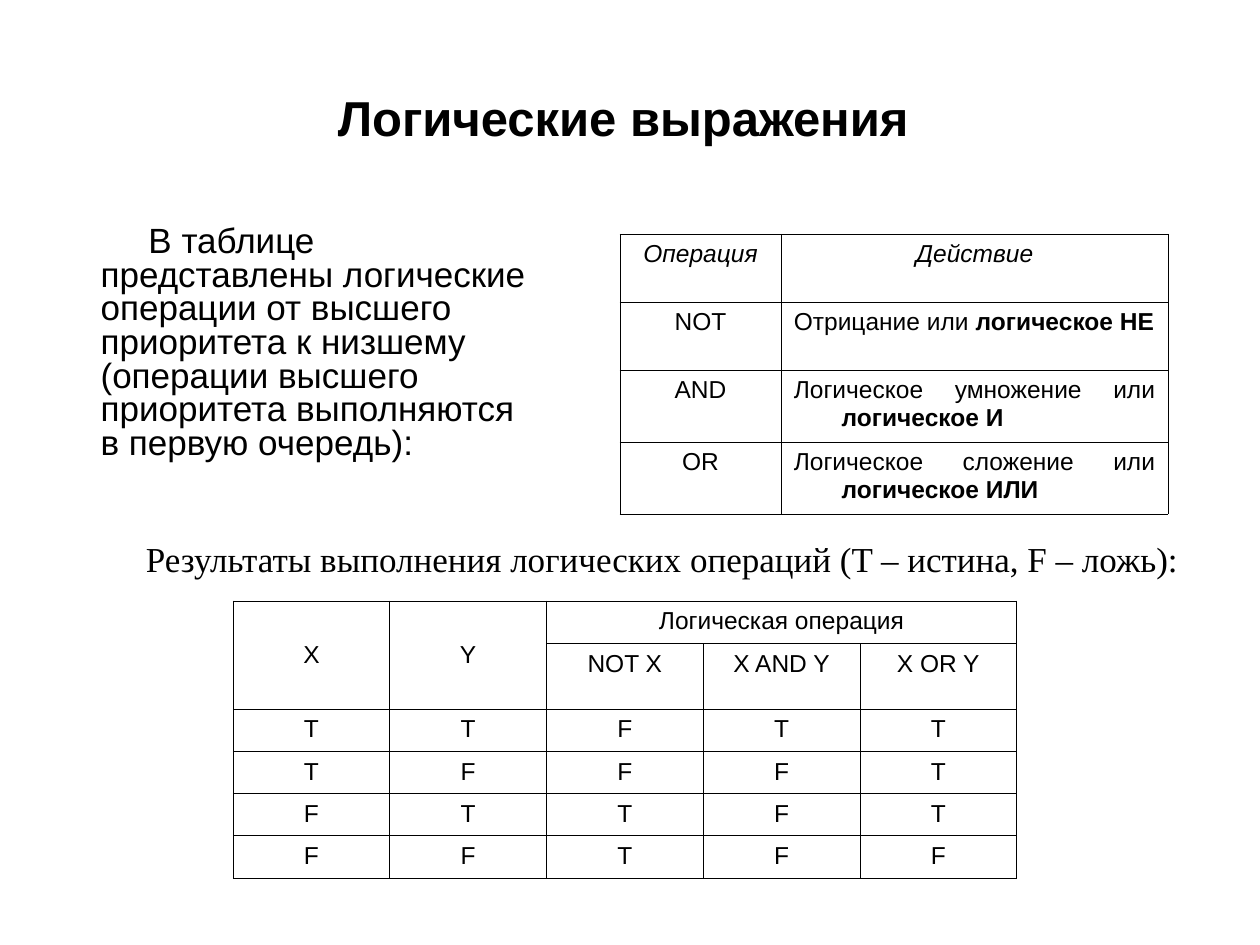
"""Build a slide on logical expressions with a priority table and a truth table."""
from dataclasses import dataclass

from lxml import etree
from pptx import Presentation
from pptx.dml.color import RGBColor
from pptx.enum.text import MSO_ANCHOR, PP_ALIGN
from pptx.oxml.ns import qn
from pptx.util import Inches, Pt

LEFT, CENTER, JUSTIFY = PP_ALIGN.LEFT, PP_ALIGN.CENTER, PP_ALIGN.JUSTIFY
TOP, MIDDLE = MSO_ANCHOR.TOP, MSO_ANCHOR.MIDDLE
BLACK = "000000"
BORDER_WIDTH = Pt(0.45)
HANGING = 0.38


@dataclass(frozen=True)
class Caption:
    """A free-standing block of text."""
    text: str
    box: tuple[float, float, float, float]
    size: float
    font: str = "Arial"
    bold: bool = False
    align: PP_ALIGN = LEFT
    anchor: MSO_ANCHOR = TOP
    margin: float = 0
    indent: float = 0
    line_spacing: float = 1.0


@dataclass(frozen=True)
class Entry:
    """The content of one table cell."""
    text: str
    strong: str = ""
    italic: bool = False
    align: PP_ALIGN = CENTER
    anchor: MSO_ANCHOR = TOP


@dataclass(frozen=True)
class Grid:
    """A bordered table; spans hold first and last cell as row, column."""
    left: float
    top: float
    columns: list[float]
    heights: list[float]
    rows: list[list[Entry]]
    spans: tuple[tuple[int, int, int, int], ...] = ()


def color(hex_code: str) -> RGBColor:
    """Turn a hex string into a colour."""
    return RGBColor.from_string(hex_code)


def style(paragraph, size: float, font: str, align: PP_ALIGN) -> None:
    """Set the alignment and shared font of a paragraph."""
    paragraph.alignment = align
    paragraph.font.size = Pt(size)
    paragraph.font.name = font
    paragraph.font.color.rgb = color(BLACK)


def indent(paragraph, margin: float, first_line: float) -> None:
    """Set the left margin and first-line indent of a paragraph."""
    properties = paragraph._p.get_or_add_pPr()
    properties.set("marL", str(Inches(margin)))
    properties.set("indent", str(Inches(first_line)))


def draw_caption(slide, caption: Caption) -> None:
    """Add a caption to the slide."""
    frame = slide.shapes.add_textbox(*map(Inches, caption.box)).text_frame
    frame.word_wrap = True
    frame.vertical_anchor = caption.anchor
    paragraph = frame.paragraphs[0]
    paragraph.text = caption.text
    indent(paragraph, caption.margin, caption.indent)
    paragraph.line_spacing = caption.line_spacing
    style(paragraph, caption.size, caption.font, caption.align)
    paragraph.font.bold = caption.bold


def draw_borders(cell) -> None:
    """Outline a cell on all sides and leave it unfilled."""
    properties = cell._tc.get_or_add_tcPr()
    for side in ("a:lnL", "a:lnR", "a:lnT", "a:lnB"):
        line = etree.SubElement(properties, qn(side), w=str(BORDER_WIDTH))
        fill = etree.SubElement(line, qn("a:solidFill"))
        etree.SubElement(fill, qn("a:srgbClr"), val=BLACK)
    cell.fill.background()


def fill_cell(cell, entry: Entry) -> None:
    """Write an entry into a cell."""
    cell.vertical_anchor = entry.anchor
    paragraph = cell.text_frame.paragraphs[0]
    paragraph.add_run().text = entry.text
    if entry.strong:
        strong = paragraph.add_run()
        strong.text = entry.strong
        strong.font.bold = True
    indent(paragraph, HANGING, -HANGING)
    style(paragraph, 14, "Arial", entry.align)
    paragraph.font.italic = entry.italic


def draw_grid(slide, grid: Grid) -> None:
    """Add a bordered table to the slide."""
    size = (sum(grid.columns), sum(grid.heights))
    table = slide.shapes.add_table(
        len(grid.heights), len(grid.columns),
        *map(Inches, (grid.left, grid.top, *size))).table
    table.first_row = table.horz_banding = False
    for column, width in zip(table.columns, grid.columns):
        column.width = Inches(width)
    for row, height in zip(table.rows, grid.heights):
        row.height = Inches(height)
    for cell in table.iter_cells():
        draw_borders(cell)
    for top, left, bottom, right in grid.spans:
        table.cell(top, left).merge(table.cell(bottom, right))
    for row, entries in enumerate(grid.rows):
        cells = [table.cell(row, column) for column in range(len(grid.columns))]
        for cell, entry in zip((c for c in cells if not c.is_spanned), entries):
            fill_cell(cell, entry)


CAPTIONS = [
    Caption("Логические выражения ", (0.5, 0.3, 9, 1.25), 28,
            bold=True, align=CENTER, anchor=MIDDLE),
    Caption("В таблице представлены логические операции от высшего приоритета "
            "к низшему (операции высшего приоритета выполняются в первую очередь):",
            (0.5, 1.75, 3.81, 2.36), 20, margin=0.2, indent=0.38, line_spacing=0.8),
    Caption("Результаты выполнения логических операций (T – истина, F – ложь):",
            (1.06, 4.22, 8.66, 0.44), 20, font="Times New Roman"),
]

OPERATIONS = [
    ("NOT", "Отрицание или ", "логическое НЕ"),
    ("AND", "Логическое умножение или ", "логическое И"),
    ("OR", "Логическое сложение или ", "логическое ИЛИ"),
]
PRIORITIES = Grid(
    4.92, 1.86, [1.28, 3.07], [0.54, 0.54, 0.57, 0.57],
    [[Entry("Операция", italic=True), Entry("Действие", italic=True)]]
    + [[Entry(name), Entry(action, strong, align=JUSTIFY)]
       for name, action, strong in OPERATIONS])

TRUTH_VALUES = ["TTFTT", "TFFFT", "FTTFT", "FFTFF"]
TRUTH_TABLE = Grid(
    1.85, 4.77, [1.244] * 5, [0.34, 0.52] + [0.335] * 4,
    [[Entry("X", anchor=MIDDLE), Entry("Y", anchor=MIDDLE), Entry("Логическая операция")],
     [Entry("NOT X"), Entry("X AND Y"), Entry("X OR Y")]]
    + [[Entry(value) for value in values] for values in TRUTH_VALUES],
    spans=((0, 0, 1, 0), (0, 1, 1, 1), (0, 2, 0, 4)))


def main() -> None:
    """Build and save the presentation."""
    presentation = Presentation()
    presentation.slide_width, presentation.slide_height = Inches(10), Inches(7.5)
    slide = presentation.slides.add_slide(presentation.slide_layouts[6])
    for caption in CAPTIONS:
        draw_caption(slide, caption)
    for grid in (PRIORITIES, TRUTH_TABLE):
        draw_grid(slide, grid)
    presentation.save("out.pptx")


if __name__ == "__main__":
    main()
